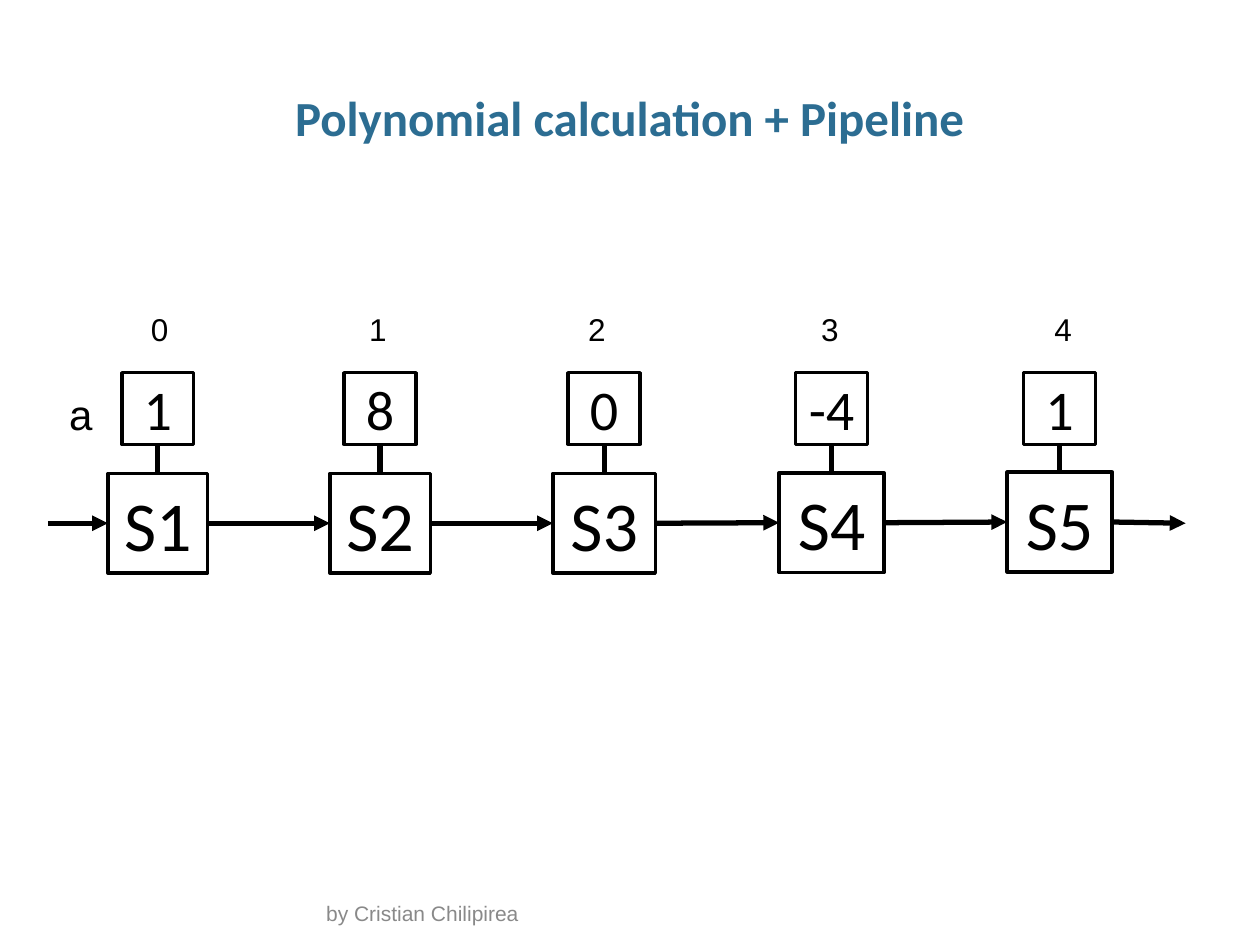
from lxml.etree import SubElement
from pptx import Presentation
from pptx.dml.color import RGBColor
from pptx.enum.shapes import MSO_CONNECTOR, MSO_SHAPE
from pptx.enum.text import MSO_ANCHOR, MSO_AUTO_SIZE, PP_ALIGN
from pptx.oxml.ns import qn
from pptx.util import Pt

BLACK = RGBColor(0x00, 0x00, 0x00)
GREY = RGBColor(0x89, 0x89, 0x89)
BLUE = RGBColor(0x2C, 0x6D, 0x92)

TOP, LEFT, BOTTOM, RIGHT = range(4)  # connection sites of a rectangle

STAGE_HEIGHT = 57
COEFFICIENT_TOP, COEFFICIENT_SIZE = 213, 41
FLOW_Y = 299

# stage left, top and width, coefficient, left of the index label
STAGES = [
    (61.7, 270.5, 56.9, "1", 79.2),
    (188.5, 270.5, 57.4, "8", 203.8),
    (316, 270.5, 58.5, "0", 329),
    (445.2, 270.2, 60, "-4", 462.2),
    (575.5, 269.8, 60, "1", 595.4),
]


def write(shape, text, size, font="Arial", color=BLACK, bold=False,
          align=PP_ALIGN.LEFT, anchor=MSO_ANCHOR.TOP, wrap=True,
          auto_size=MSO_AUTO_SIZE.NONE):
    frame = shape.text_frame
    frame.word_wrap = wrap
    frame.auto_size = auto_size
    frame.vertical_anchor = anchor
    para = frame.paragraphs[0]
    para.alignment = align
    span = para.add_run()
    span.text = text
    span.font.name = font
    span.font.size = Pt(size)
    span.font.bold = bold
    span.font.color.rgb = color


def connect(start=None, end=None, start_point=(0, 0), end_point=(0, 0), arrow=True):
    """Draw a line; start and end are (shape, site) pairs, else the points count."""
    line = page.shapes.add_connector(
        MSO_CONNECTOR.STRAIGHT, *[Pt(value) for value in (*start_point, *end_point)])
    if start:
        line.begin_connect(*start)
    if end:
        line.end_connect(*end)
    line.line.color.rgb = BLACK
    line.line.width = Pt(3)
    if arrow:
        SubElement(line.line._get_or_add_ln(), qn("a:tailEnd"), type="triangle")
    SubElement(line._element.spPr, qn("a:effectLst"))


deck = Presentation()
deck.slide_width, deck.slide_height = Pt(720), Pt(540)
page = deck.slides.add_slide(deck.slide_layouts[5])

title = page.shapes.title
title.left, title.top, title.width, title.height = Pt(24.5), Pt(49), Pt(670.5), Pt(36)
title.text_frame.margin_left = title.text_frame.margin_right = 0
write(title, "Polynomial calculation + Pipeline", 28, font="Calibri", color=BLUE,
      bold=True, align=PP_ALIGN.CENTER)
title.text_frame.paragraphs[0].line_spacing = 0.95

footer = page.shapes.add_textbox(Pt(179.3), Pt(515.5), Pt(361.4), Pt(17.3))
write(footer, "by Cristian Chilipirea", 12, color=GREY, anchor=MSO_ANCHOR.BOTTOM)

array_name = page.shapes.add_textbox(Pt(32.4), Pt(218.2), Pt(28), Pt(36))
write(array_name, "a", 24, wrap=False, auto_size=MSO_AUTO_SIZE.SHAPE_TO_FIT_TEXT)

previous = None
for index, (left, top, width, value, label_left) in enumerate(STAGES):
    label = page.shapes.add_textbox(Pt(label_left), Pt(173.5), Pt(24.5), Pt(29))
    write(label, str(index), 18, wrap=False,
          auto_size=MSO_AUTO_SIZE.SHAPE_TO_FIT_TEXT)

    stage = page.shapes.add_shape(
        MSO_SHAPE.RECTANGLE, Pt(left), Pt(top), Pt(width), Pt(STAGE_HEIGHT))
    coefficient = page.shapes.add_shape(
        MSO_SHAPE.RECTANGLE, Pt(left + (width - COEFFICIENT_SIZE) / 2),
        Pt(COEFFICIENT_TOP), Pt(COEFFICIENT_SIZE), Pt(COEFFICIENT_SIZE))
    for box, text, size in ((stage, f"S{index + 1}", 40), (coefficient, value, 32)):
        box.shadow.inherit = False
        box.fill.background()
        box.line.color.rgb = BLACK
        box.line.width = Pt(2)
        write(box, text, size, font="Calibri", align=PP_ALIGN.CENTER,
              anchor=MSO_ANCHOR.MIDDLE)

    connect(start=(stage, TOP), end=(coefficient, BOTTOM), arrow=False)
    connect(start=(previous, RIGHT) if previous else None, end=(stage, LEFT),
            start_point=(27.4, FLOW_Y))
    previous = stage

connect(start=(previous, RIGHT), end_point=(677.5, FLOW_Y))

deck.save("out.pptx")
